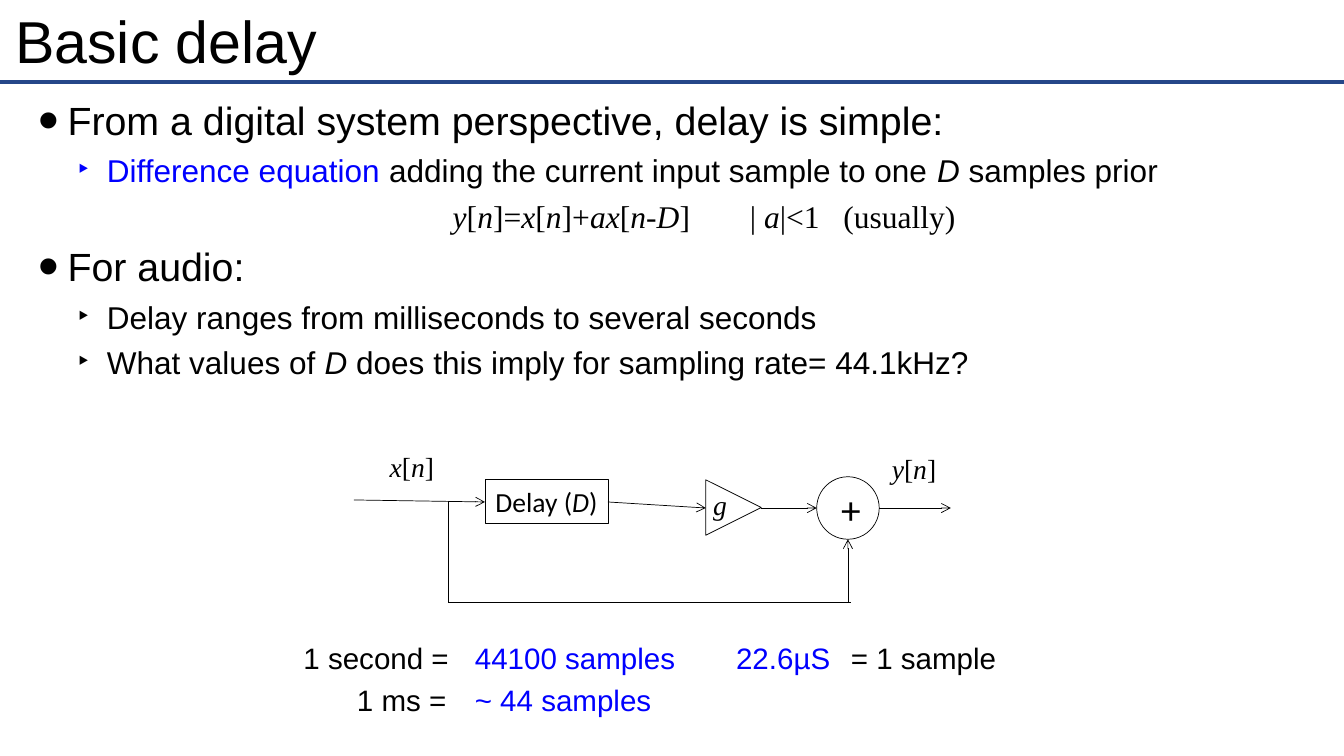
from dataclasses import dataclass

from pptx import Presentation
from pptx.dml.color import RGBColor
from pptx.enum.shapes import MSO_CONNECTOR, MSO_SHAPE
from pptx.enum.text import MSO_ANCHOR, MSO_AUTO_SIZE, PP_ALIGN
from pptx.oxml.ns import qn
from pptx.util import Inches, Pt
from lxml.etree import SubElement

BLACK, BLUE, RULE = "000000", "0000FF", "254789"
SANS, SERIF, LABEL = "Arial", "Times New Roman", "Calibri"


def cells(count):
    """Convert grid cells of a tenth of an inch to a length."""
    return Inches(count / 10)


@dataclass
class Box:
    """A region of the slide in grid cells."""
    left: float
    top: float
    width: float
    height: float

    def inner(self, left, top, width, height):
        """Return a box placed relative to this one."""
        return Box(self.left + left, self.top + top, width, height)

    def lengths(self):
        """Return left, top, width and height as lengths."""
        return [cells(count) for count in (self.left, self.top, self.width, self.height)]


def color(hex_string):
    """Turn a hex string into a colour."""
    return RGBColor.from_string(hex_string)


def write(paragraph, text, size, font=SANS, ink=BLACK):
    """Append text to a paragraph, with pieces between asterisks in italics."""
    for index, piece in enumerate(text.split("*")):
        if piece:
            run = paragraph.add_run()
            run.text = piece
            run.font.size = Pt(size)
            run.font.name = font
            run.font.italic = index % 2 == 1
            run.font.color.rgb = color(ink)


def place(shape, box, inset):
    """Move a placeholder to a box and set its insets."""
    shape.left, shape.top, shape.width, shape.height = box.lengths()
    frame = shape.text_frame
    frame.auto_size = MSO_AUTO_SIZE.NONE
    frame.margin_left = frame.margin_right = cells(inset)
    frame.margin_top = frame.margin_bottom = cells(inset)
    return frame


def add_text(slide, box, text, size, font, ink=BLACK, inset=None, align=PP_ALIGN.CENTER):
    """Add a text box holding one line."""
    frame = slide.shapes.add_textbox(*box.lengths()).text_frame
    frame.word_wrap = False
    if inset is not None:
        frame.margin_left = frame.margin_right = inset
        frame.margin_top = frame.margin_bottom = inset
        frame.vertical_anchor = MSO_ANCHOR.MIDDLE
    frame.paragraphs[0].alignment = align
    write(frame.paragraphs[0], text, size, font, ink)


def add_line(slide, box, start, end, width=0.5, ink=BLACK, arrow=False):
    """Draw a line between two points of a box, with an optional arrowhead."""
    points = [cells(count) for x, y in (start, end) for count in (box.left + x, box.top + y)]
    connector = slide.shapes.add_connector(MSO_CONNECTOR.STRAIGHT, *points)
    connector.line.width = Pt(width)
    connector.line.color.rgb = color(ink)
    properties = connector._element.spPr
    if arrow:
        SubElement(properties.find(qn("a:ln")), qn("a:tailEnd"), type="arrow")
    SubElement(properties, qn("a:effectLst"))


def add_outline(slide, box, kind):
    """Add an unfilled shape with a thin black outline."""
    shape = slide.shapes.add_shape(kind, *box.lengths())
    shape.shadow.inherit = False
    shape.fill.background()
    shape.line.width = Pt(0.5)
    shape.line.color.rgb = color(BLACK)
    return shape


def build_title(slide, box):
    """Fill the title and underline it across the slide."""
    add_line(slide, Box(0, 8.1, 133.3, 0), (0, 0), (133.3, 0), 3, RULE)
    frame = place(slide.shapes.title, box, 0.6)
    frame.vertical_anchor = MSO_ANCHOR.MIDDLE
    frame.paragraphs[0].alignment = PP_ALIGN.LEFT
    write(frame.paragraphs[0], "Basic delay", 42.2)


def add_item(frame, level, bullet):
    """Start a list paragraph at a level, with or without a bullet."""
    first = frame.paragraphs[0]
    paragraph = frame.add_paragraph() if first.runs else first
    paragraph.level = level
    paragraph.space_before = Pt(4.2)
    paragraph.line_spacing = 1.05
    properties = paragraph._p.get_or_add_pPr()
    properties.set("marL", str(cells((4.9, 8.8)[level])))
    properties.set("indent", str(cells(-2.9)))
    if bullet:
        SubElement(properties, qn("a:buSzPct"), val=("150000", "100000")[level])
        SubElement(properties, qn("a:buFont"), typeface=SANS)
        SubElement(properties, qn("a:buChar"), char=bullet)
    else:
        SubElement(properties, qn("a:buNone"))
    return paragraph


def build_list(slide, box):
    """Fill the body with the two topics and the difference equation."""
    frame = place(slide.placeholders[1], box, 0.6)
    write(add_item(frame, 0, "•"), "From a digital system perspective, delay is simple:", 28.1)
    definition = add_item(frame, 1, "‣")
    write(definition, "Difference equation", 22.5, ink=BLUE)
    write(definition, " adding the current input sample to one *D* samples prior", 22.5)
    equation = add_item(frame, 1, None)
    equation.alignment = PP_ALIGN.CENTER
    write(equation, "*y*[*n*]=*x*[*n*]+*ax*[*n*-*D*]\t  | *a*|<1   (usually)", 22.5, SERIF)
    write(add_item(frame, 0, "•"), "For audio:", 28.1)
    for text in ("Delay ranges from milliseconds to several seconds",
                 "What values of *D* does this imply for sampling rate= 44.1kHz?"):
        write(add_item(frame, 1, "‣"), text, 22.5)


def build_diagram(slide, box):
    """Draw the delay, gain and adder with the direct path below."""
    add_outline(slide, box.inner(45.9, 3.2, 6.2, 6.2), MSO_SHAPE.OVAL)
    add_outline(slide, box.inner(34.9, 3.5, 5.5, 5.5), MSO_SHAPE.ISOSCELES_TRIANGLE).rotation = 90
    delay = add_outline(slide, box.inner(13, 3.5, 12.2, 4.3), MSO_SHAPE.RECTANGLE)
    delay.text_frame.word_wrap = False
    delay.text_frame.paragraphs[0].alignment = PP_ALIGN.CENTER
    write(delay.text_frame.paragraphs[0], "Delay (*D*)", 19.7, LABEL)
    for start, end, arrow in (
        ((0, 5.5), (13, 5.7), True),
        ((25.2, 5.7), (34.9, 6.3), True),
        ((40.4, 6.3), (45.9, 6.3), True),
        ((52.1, 6.3), (59.2, 6.3), True),
        ((9.4, 5.6), (9.4, 15.7), False),
        ((9.4, 15.7), (49.3, 15.7), False),
        ((49, 15.7), (49, 9.4), True),
    ):
        add_line(slide, box, start, end, arrow=arrow)
    for text, left, top, width in (("*x*[*n*]", 2.5, 0, 6.5), ("*y*[*n*]", 52.3, 0.2, 6.5),
                                   ("*g*", 34.6, 3.8, 3.4)):
        add_text(slide, box.inner(left, top, width, 4.3), text, 19.7, SERIF)
    add_text(slide, box.inner(47.3, 3.5, 4, 5.7), "+", 28.1, LABEL)


def build_answers(slide, box):
    """Set out the conversions between time and samples in two rows."""
    for text, left, row, width, ink in (
        ("1 second =", 0, 0, 15.4, BLACK),
        ("44100 samples", 17, 0, 20.1, BLUE),
        ("22.6µS", 42.9, 0, 10.5, BLUE),
        ("= 1 sample", 54.3, 0, 14.6, BLACK),
        ("1 ms =", 5.3, 1, 9.8, BLACK),
        ("~ 44 samples", 17, 1, 17.7, BLUE),
    ):
        add_text(slide, box.inner(left, row * 4.2, width, 3.5), text, 21.1, SANS, ink,
                 0, PP_ALIGN.LEFT)


def main():
    """Build the slide and save it."""
    presentation = Presentation()
    presentation.slide_width, presentation.slide_height = Inches(13.33), Inches(7.5)
    slide = presentation.slides.add_slide(presentation.slide_layouts[1])
    build_title(slide, Box(0.9, 0.4, 131.4, 7.1))
    build_list(slide, Box(1.2, 8.7, 131.4, 65.7))
    build_diagram(slide, Box(35.1, 44.1, 59.2, 15.7))
    build_answers(slide, Box(30.1, 63.5, 68.9, 7.7))
    presentation.save("out.pptx")


if __name__ == "__main__":
    main()
